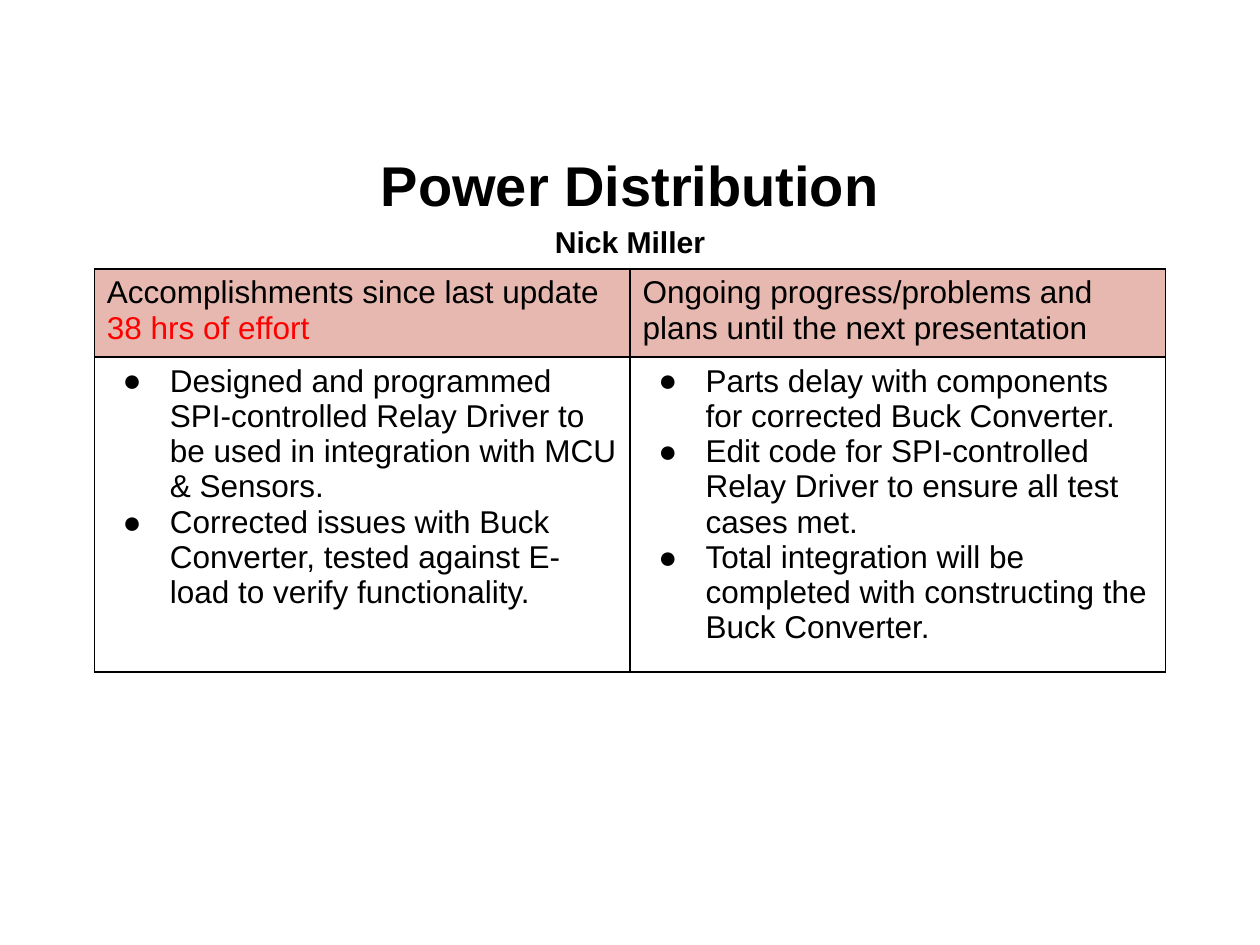
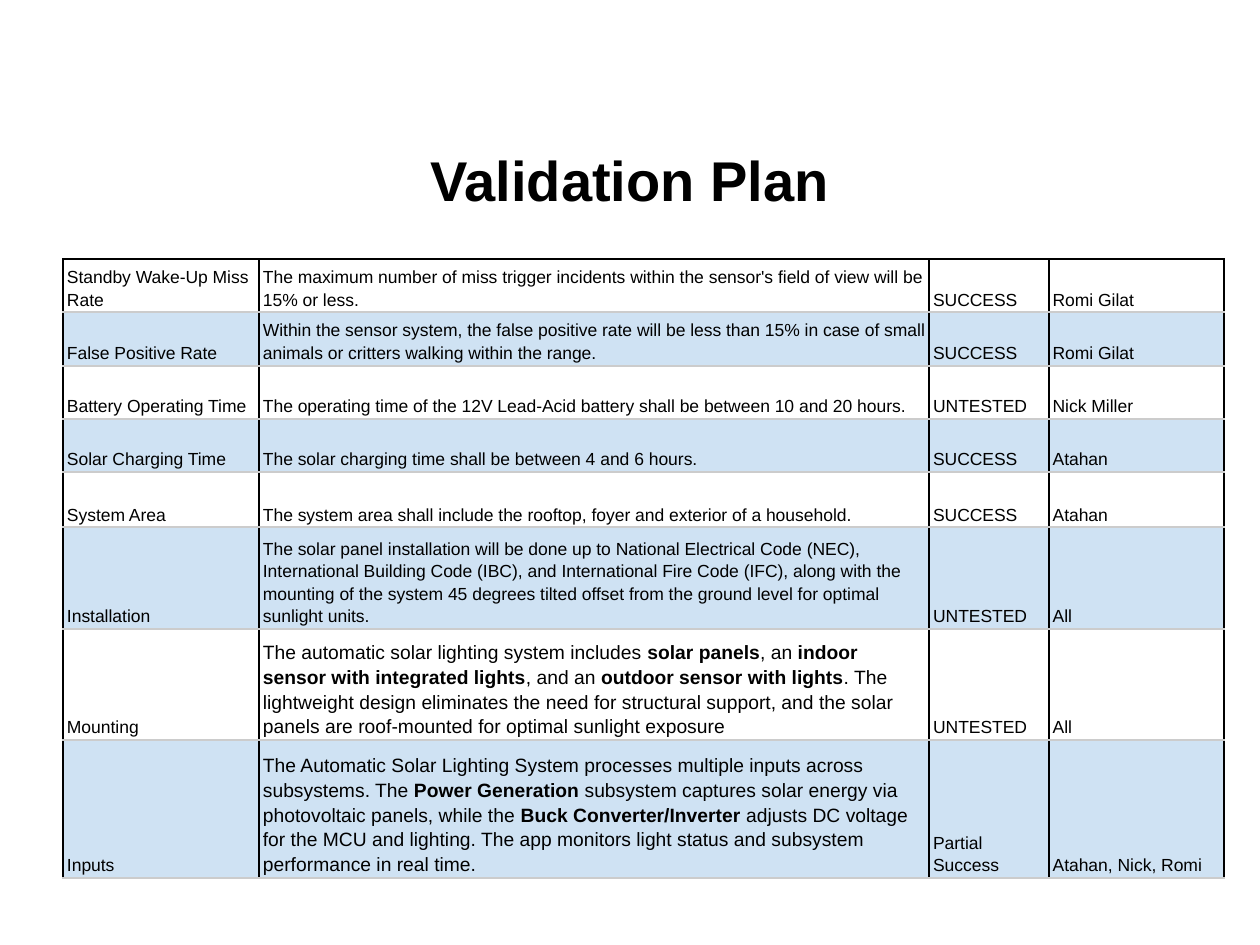
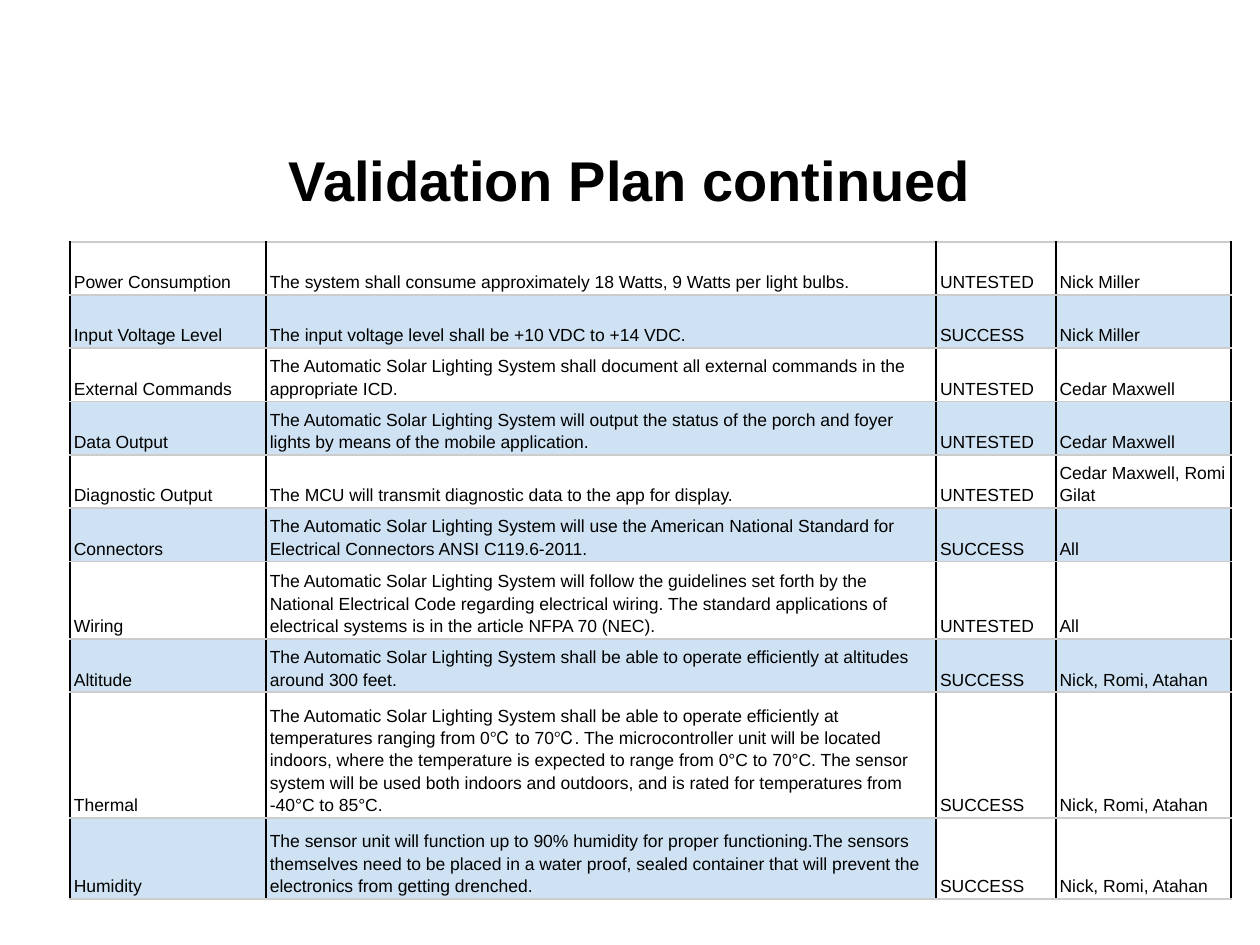
"""Builds the power distribution update and the two validation plan slides."""
from lxml.etree import SubElement
from pptx import Presentation
from pptx.dml.color import RGBColor
from pptx.enum.text import MSO_ANCHOR, PP_ALIGN
from pptx.oxml import parse_xml
from pptx.oxml.ns import nsdecls, qn
from pptx.util import Cm, Pt

FONT = "Arial"
BLACK = RGBColor(0x00, 0x00, 0x00)
RED = RGBColor(0xFF, 0x00, 0x00)
PINK = RGBColor(0xE6, 0xB8, 0xAF)
BLUE = RGBColor(0xCF, 0xE2, 0xF3)
GREY = RGBColor(0xCC, 0xCC, 0xCC)

UPDATE_HEADERS = [
    [("Accomplishments since last update ", BLACK), ("38 hrs of effort", RED)],
    [("Ongoing progress/problems and plans until the next presentation", BLACK)],
]
UPDATE_POINTS = [
    [
        "Designed and programmed SPI-controlled Relay Driver to be used in integration with MCU & Sensors.",
        "Corrected issues with Buck Converter, tested against E-load to verify functionality.",
    ],
    [
        "Parts delay with components for corrected Buck Converter.",
        "Edit code for SPI-controlled Relay Driver to ensure all test cases met.",
        "Total integration will be completed with constructing the Buck Converter.",
    ],
]

PLAN_ROWS = [
    ("Standby Wake-Up Miss Rate",
     "The maximum number of miss trigger incidents within the sensor's field of view will be 15% or less.",
     "SUCCESS", "Romi Gilat"),
    ("False Positive Rate",
     "Within the sensor system, the false positive rate will be less than 15% in case of small animals "
     "or critters walking within the range.",
     "SUCCESS", "Romi Gilat"),
    ("Battery Operating Time",
     "The operating time of the 12V Lead-Acid battery shall be between 10 and 20 hours.",
     "UNTESTED", "Nick Miller"),
    ("Solar Charging Time", "The solar charging time shall be between 4 and 6 hours.",
     "SUCCESS", "Atahan"),
    ("System Area", "The system area shall include the rooftop, foyer and exterior of a household.",
     "SUCCESS", "Atahan"),
    ("Installation",
     "The solar panel installation will be done up to National Electrical Code (NEC), International "
     "Building Code (IBC), and International Fire Code (IFC), along with the mounting of the system 45 "
     "degrees tilted offset from the ground level for optimal sunlight units.",
     "UNTESTED", "All"),
    ("Mounting",
     "The automatic solar lighting system includes **solar panels**, an **indoor sensor with integrated "
     "lights**, and an **outdoor sensor with lights**. The lightweight design eliminates the need for "
     "structural support, and the solar panels are roof-mounted for optimal sunlight exposure",
     "UNTESTED", "All"),
    ("Inputs",
     "The Automatic Solar Lighting System processes multiple inputs across subsystems. The **Power "
     "Generation** subsystem captures solar energy via photovoltaic panels, while the **Buck "
     "Converter/Inverter** adjusts DC voltage for the MCU and lighting. The app monitors light status "
     "and subsystem performance in real time.",
     "Partial Success", "Atahan, Nick, Romi"),
]
CONTINUED_ROWS = [
    ("Power Consumption", "The system shall consume approximately 18 Watts, 9 Watts per light bulbs.",
     "UNTESTED", "Nick Miller"),
    ("Input Voltage Level", "The input voltage level shall be +10 VDC to +14 VDC.",
     "SUCCESS", "Nick Miller"),
    ("External Commands",
     "The Automatic Solar Lighting System shall document all external commands in the appropriate ICD.",
     "UNTESTED", "Cedar Maxwell"),
    ("Data Output",
     "The Automatic Solar Lighting System will output the status of the porch and foyer lights by means "
     "of the mobile application.",
     "UNTESTED", "Cedar Maxwell"),
    ("Diagnostic Output", "The MCU will transmit diagnostic data to the app for display.",
     "UNTESTED", "Cedar Maxwell, Romi Gilat"),
    ("Connectors",
     "The Automatic Solar Lighting System will use the American National Standard for Electrical "
     "Connectors ANSI C119.6-2011.",
     "SUCCESS", "All"),
    ("Wiring",
     "The Automatic Solar Lighting System will follow the guidelines set forth by the National "
     "Electrical Code regarding electrical wiring. The standard applications of electrical systems is "
     "in the article NFPA 70 (NEC).",
     "UNTESTED", "All"),
    ("Altitude",
     "The Automatic Solar Lighting System shall be able to operate efficiently at altitudes around 300 "
     "feet.",
     "SUCCESS", "Nick, Romi, Atahan"),
    ("Thermal",
     "The Automatic Solar Lighting System shall be able to operate efficiently at temperatures ranging "
     "from 0℃ to 70℃. The microcontroller unit will be located indoors, where the temperature is "
     "expected to range from 0°C to 70°C. The sensor system will be used both indoors and outdoors, and "
     "is rated for temperatures from -40°C to 85°C.",
     "SUCCESS", "Nick, Romi, Atahan"),
    ("Humidity",
     "The sensor unit will function up to 90% humidity for proper functioning.The sensors themselves "
     "need to be placed in a water proof, sealed container that will prevent the electronics from "
     "getting drenched.",
     "SUCCESS", "Nick, Romi, Atahan"),
]

PLAN_COLS = [3.95, 13.51, 2.41, 3.53]
PLAN_HEIGHTS = [0.28, 1.07, 1.07, 1.07, 1.12, 1.07, 1.07, 1.07]
CONTINUED_HEIGHTS = [1.07] * 9 + [1.63]


def set_default_font(prs):
    for root in (prs.element, prs.slide_master.element):
        for latin in root.iter(qn("a:latin")):
            latin.set("typeface", FONT)


def add_text(p, text, size=18, color=BLACK, bold=False):
    r = p.add_run()
    r.text = text
    r.font.name = FONT
    r.font.size = Pt(size)
    r.font.bold = bold
    r.font.color.rgb = color


def add_title(slide, top, lines, spacing=1.0):
    tf = slide.shapes.add_textbox(Cm(1.27), Cm(top), Cm(22.86), Cm(2.24)).text_frame
    tf.word_wrap = True
    tf.vertical_anchor = MSO_ANCHOR.MIDDLE
    for i, (text, size) in enumerate(lines):
        p = tf.add_paragraph() if i else tf.paragraphs[0]
        p.alignment = PP_ALIGN.CENTER
        p.line_spacing = spacing
        add_text(p, text, size=size, bold=True)


def add_table(slide, left, top, cols, heights):
    frame = slide.shapes.add_table(len(heights), len(cols), Cm(left), Cm(top),
                                   Cm(sum(cols)), Cm(sum(heights)))
    table = frame.table
    table.first_row = table.horz_banding = False
    tblPr = table._tbl.tblPr
    tblPr.remove(tblPr.find(qn("a:tableStyleId")))
    for col, width in zip(table.columns, cols):
        col.width = Cm(width)
    for row, height in zip(table.rows, heights):
        row.height = Cm(height)
    return table


def style_cell(cell, fill=None, width=1.0, top=BLACK, bottom=BLACK):
    if fill is None:
        cell.fill.background()
    else:
        cell.fill.solid()
        cell.fill.fore_color.rgb = fill
    sides = {"lnL": BLACK, "lnR": BLACK, "lnT": top, "lnB": bottom}
    for i, (side, color) in enumerate(sides.items()):
        line = parse_xml(
            f'<a:{side} {nsdecls("a")} w="{Pt(width)}"><a:solidFill><a:srgbClr val="{color}"/>'
            f'</a:solidFill><a:prstDash val="solid"/></a:{side}>')
        cell._tc.get_or_add_tcPr().insert(i, line)


def add_bullet(p):
    pPr = p._p.get_or_add_pPr()
    pPr.set("marL", str(Cm(1.27)))
    pPr.set("indent", str(Cm(-0.95)))
    SubElement(SubElement(pPr, qn("a:buClr")), qn("a:srgbClr")).set("val", str(BLACK))
    SubElement(pPr, qn("a:buFont")).set("typeface", FONT)
    SubElement(pPr, qn("a:buChar")).set("char", "●")


def add_update(slide):
    table = add_table(slide, 1.9, 5.42, [10.8, 10.8], [1.78, 4.83])
    for col, (header, points) in enumerate(zip(UPDATE_HEADERS, UPDATE_POINTS)):
        head, body = table.cell(0, col), table.cell(1, col)
        style_cell(head, PINK)
        style_cell(body)
        for text, color in header:
            add_text(head.text_frame.paragraphs[0], text, color=color)
        for i, point in enumerate(points):
            tf = body.text_frame
            p = tf.add_paragraph() if i else tf.paragraphs[0]
            add_bullet(p)
            add_text(p, point)


def add_plan(slide, left, top, rows, heights, first_line=GREY, unshaded=()):
    table = add_table(slide, left, top, PLAN_COLS, heights)
    for i, row in enumerate(rows):
        for j, text in enumerate(row):
            cell = table.cell(i, j)
            shaded = i % 2 and (i, j) not in unshaded
            style_cell(cell, BLUE if shaded else None, width=1.2,
                       top=GREY if i else first_line, bottom=GREY)
            cell.vertical_anchor = MSO_ANCHOR.BOTTOM
            cell.margin_left = cell.margin_right = Cm(0.08)
            cell.margin_top = cell.margin_bottom = Cm(0.05)
            p = cell.text_frame.paragraphs[0]
            p.line_spacing = 1.15
            parts = text.split("**")
            for k, part in enumerate(parts):
                add_text(p, part, size=11 if len(parts) > 1 else 10, bold=k % 2 == 1)


def main():
    prs = Presentation()
    prs.slide_width, prs.slide_height = Cm(25.4), Cm(19.05)
    set_default_font(prs)
    update, plan, continued = [prs.slides.add_slide(prs.slide_layouts[6]) for _ in range(3)]

    add_title(update, 2.91, [("Power Distribution", 32), ("Nick Miller", 17.2)], spacing=1.15)
    add_update(update)

    add_title(plan, 2.49, [("Validation Plan", 32)])
    add_plan(plan, 1.27, 5.22, PLAN_ROWS, PLAN_HEIGHTS, first_line=BLACK)

    add_title(continued, 2.49, [("Validation Plan continued", 32)])
    add_plan(continued, 1.41, 4.88, CONTINUED_ROWS, CONTINUED_HEIGHTS, unshaded={(9, 2), (9, 3)})

    prs.save("out.pptx")


if __name__ == "__main__":
    main()
